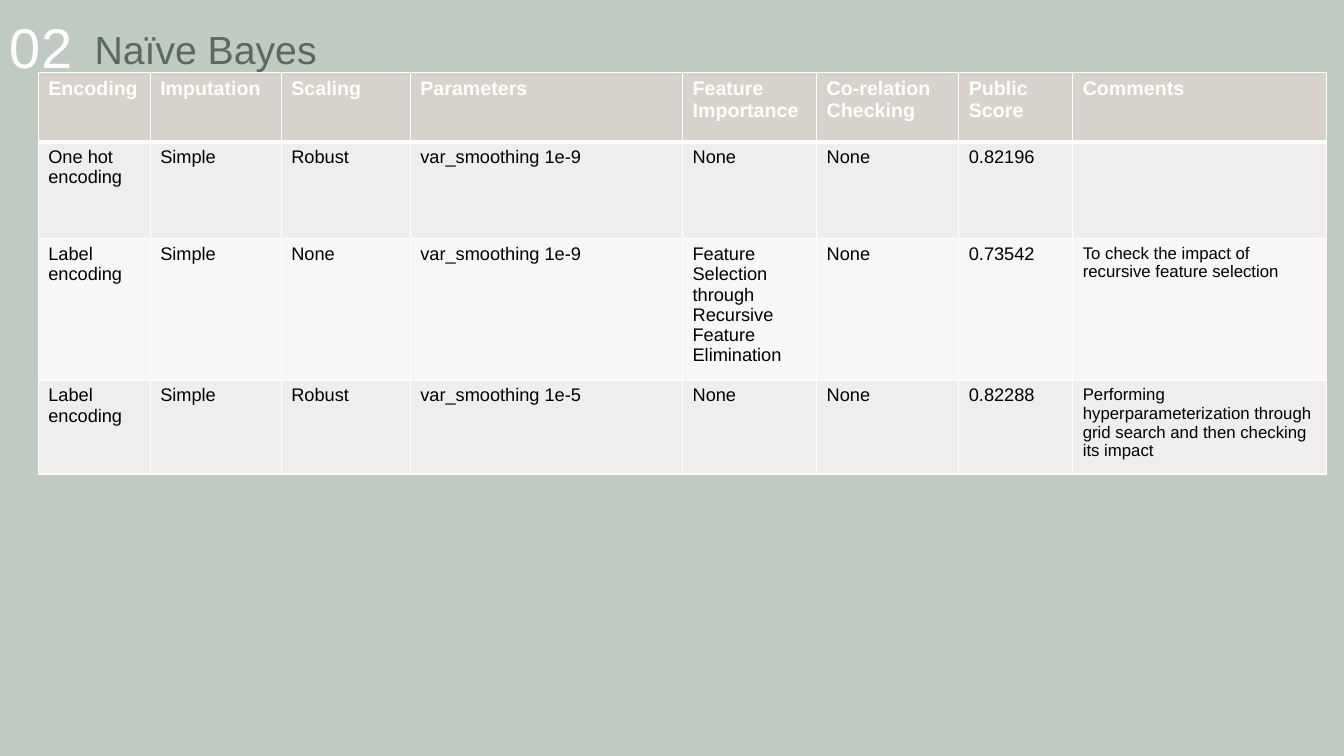
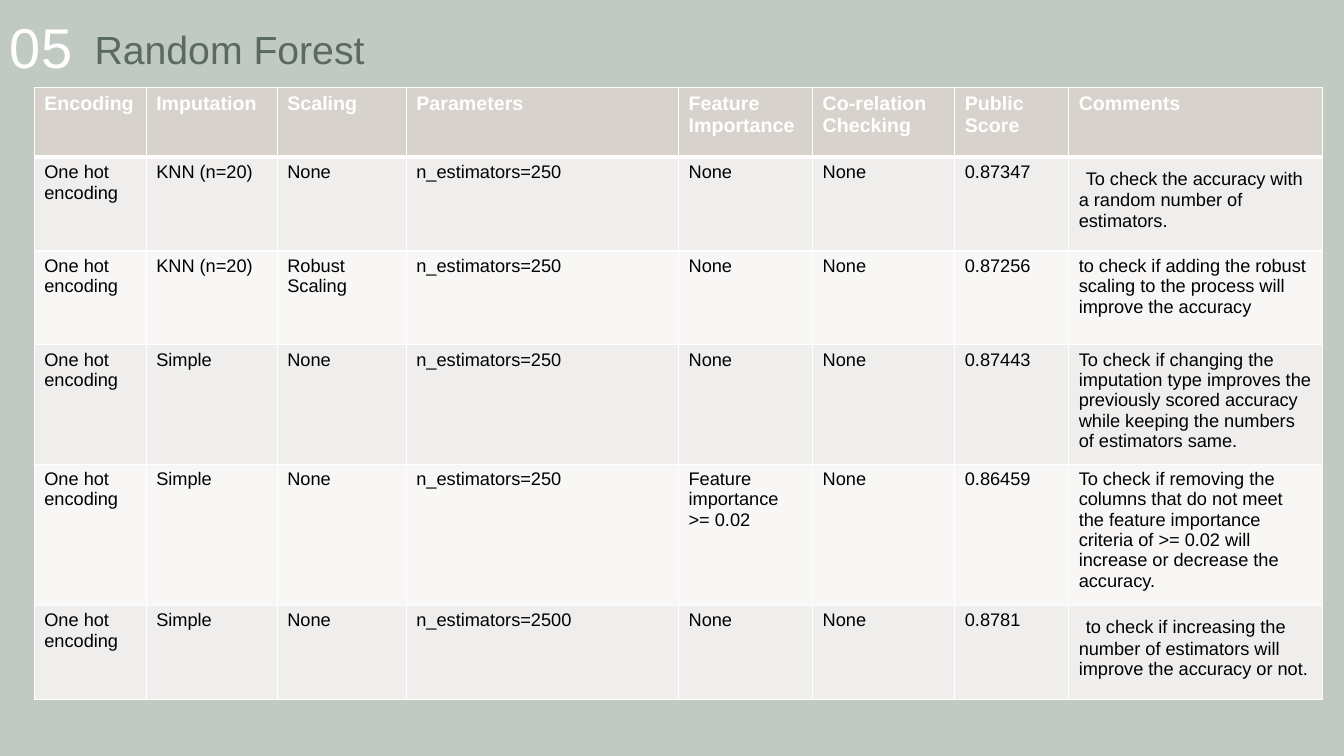
"""Build two slides that list the results of classifier experiments."""
from lxml import etree
from pptx import Presentation
from pptx import util as u
from pptx.dml.color import RGBColor
from pptx.enum import text as t
from pptx.oxml import ns

FONT = "Arial"
BACKGROUND = RGBColor(0xC0, 0xC9, 0xC2)
TITLE_GREEN = RGBColor(0x5B, 0x6A, 0x5E)
WHITE = RGBColor(0xFF, 0xFF, 0xFF)
BLACK = RGBColor(0, 0, 0)
HEADER_FILL = RGBColor(0xD8, 0xD2, 0xCD)
BAND_FILLS = (RGBColor(0xF0, 0xEE, 0xED), RGBColor(0xF8, 0xF7, 0xF6))

HEADERS = ("Encoding", "Imputation", "Scaling", "Parameters", "Feature Importance",
           "Co-relation Checking", "Public Score", "Comments")
COLUMN_WIDTHS = (1.11, 1.3, 1.28, 2.7, 1.33, 1.41, 1.13, 2.52)
HEADER_HEIGHT = 0.69
HEADER_SIZE, BODY_SIZE, INDENT_SIZE = 14, 13, 18

BAYES_ROWS = (
    ("One hot encoding", "Simple", "Robust", "var_smoothing 1e-9", "None", "None",
     "0.82196", ""),
    ("Label encoding", "Simple", "None", "var_smoothing 1e-9",
     "Feature Selection through Recursive Feature Elimination", "None", "0.73542",
     "To check the impact of recursive feature selection"),
    ("Label encoding", "Simple", "Robust", "var_smoothing 1e-5", "None", "None", "0.82288",
     "Performing hyperparameterization through grid search and then checking its impact"),
)
FOREST_ROWS = (
    ("One hot encoding", "KNN (n=20)", "None", "n_estimators=250", "None", "None", "0.87347",
     " To check the accuracy with a random number of estimators."),
    ("One hot encoding", "KNN (n=20)", "Robust Scaling", "n_estimators=250", "None", "None",
     "0.87256",
     "to check if adding the robust scaling to the process will improve the accuracy"),
    ("One hot encoding", "Simple", "None", "n_estimators=250", "None", "None", "0.87443",
     "To check if changing the imputation type improves the previously scored accuracy "
     "while keeping the numbers of estimators same."),
    ("One hot encoding", "Simple", "None", "n_estimators=250", "Feature importance >= 0.02",
     "None", "0.86459",
     "To check if removing the columns that do not meet the feature importance criteria "
     "of >= 0.02 will increase or decrease the accuracy."),
    ("One hot encoding", "Simple", "None", "n_estimators=2500", "None", "None", "0.8781",
     " to check if increasing the number of estimators will improve the accuracy or not."),
)


def style_run(run, size, color, bold=False):
    run.font.name = FONT
    run.font.size = u.Pt(size)
    run.font.color.rgb = color
    run.font.bold = bold


def add_heading(slide, text, left, width, size, color, anchor):
    box = slide.shapes.add_textbox(u.Inches(left), u.Inches(0.15),
                                   u.Inches(width), u.Inches(0.72))
    frame = box.text_frame
    frame.word_wrap = True
    frame.vertical_anchor = anchor
    frame.text = text
    paragraph = frame.paragraphs[0]
    paragraph.line_spacing = 0.9
    style_run(paragraph.runs[0], size, color)


def set_borders(cell, top=1, bottom=1):
    properties = cell._tc.get_or_add_tcPr()
    widths = {"a:lnL": 1, "a:lnR": 1, "a:lnT": top, "a:lnB": bottom}
    for position, (tag, width) in enumerate(widths.items()):
        line = etree.Element(ns.qn(tag), w=str(u.Pt(width)))
        fill = etree.SubElement(line, ns.qn("a:solidFill"))
        etree.SubElement(fill, ns.qn("a:srgbClr"), val=str(WHITE))
        properties.insert(position, line)


def fill_cell(cell, text, size, color, fill, bold=False):
    cell.fill.solid()
    cell.fill.fore_color.rgb = fill
    paragraph = cell.text_frame.paragraphs[0]
    content = text.lstrip()
    if content != text:
        paragraph.text = " "
        style_run(paragraph.runs[0], INDENT_SIZE, color)
    if content:
        run = paragraph.add_run()
        run.text = content
        style_run(run, size, color, bold)


def add_results_table(slide, left, top, rows, row_heights, comment_size):
    heights = (HEADER_HEIGHT, *row_heights)
    table = slide.shapes.add_table(
        len(heights), len(HEADERS), u.Inches(left), u.Inches(top),
        u.Inches(sum(COLUMN_WIDTHS)), u.Inches(sum(heights))).table
    for column, width in zip(table.columns, COLUMN_WIDTHS):
        column.width = u.Inches(width)
    for row, height in zip(table.rows, heights):
        row.height = u.Inches(height)
    for column, header in enumerate(HEADERS):
        cell = table.cell(0, column)
        fill_cell(cell, header, HEADER_SIZE, WHITE, HEADER_FILL, bold=True)
        set_borders(cell, bottom=3)
    for number, values in enumerate(rows, 1):
        fill = BAND_FILLS[(number - 1) % 2]
        for column, value in enumerate(values):
            cell = table.cell(number, column)
            size = comment_size if HEADERS[column] == "Comments" else BODY_SIZE
            fill_cell(cell, value, size, BLACK, fill)
            set_borders(cell, top=3 if number == 1 else 1)


def add_model_slide(presentation, number, title):
    slide = presentation.slides.add_slide(presentation.slide_layouts[6])
    slide.background.fill.solid()
    slide.background.fill.fore_color.rgb = BACKGROUND
    add_heading(slide, number, 0, 1.05, 40, WHITE, t.MSO_ANCHOR.TOP)
    add_heading(slide, title, 0.84, 7.3, 28, TITLE_GREEN, t.MSO_ANCHOR.MIDDLE)
    return slide


def main():
    presentation = Presentation()
    presentation.slide_width = u.Inches(13.33)
    presentation.slide_height = u.Inches(7.5)
    bayes = add_model_slide(presentation, "02", "Naïve Bayes")
    add_results_table(bayes, 0.38, 0.72, BAYES_ROWS, (0.96, 0.93, 0.93), 12)
    forest = add_model_slide(presentation, "05", "Random Forest")
    add_results_table(forest, 0.34, 0.87, FOREST_ROWS, (0.93,) * len(FOREST_ROWS), BODY_SIZE)
    presentation.save("out.pptx")


if __name__ == "__main__":
    main()
